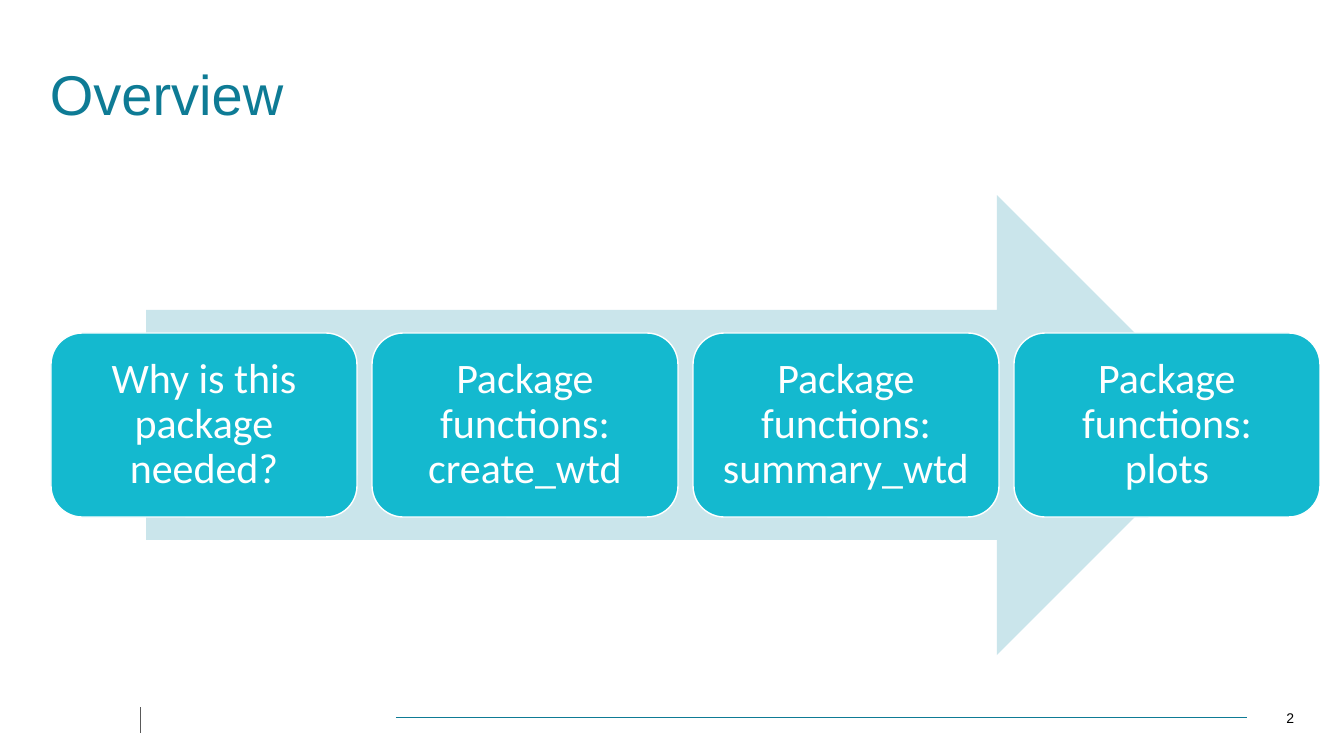
from pptx import Presentation
from pptx.dml.color import RGBColor
from pptx.enum.shapes import MSO_CONNECTOR, MSO_SHAPE
from pptx.enum.text import MSO_ANCHOR, PP_ALIGN
from pptx.oxml.ns import qn
from pptx.util import Pt
from lxml import etree

LEFT, CENTER, RIGHT = PP_ALIGN.LEFT, PP_ALIGN.CENTER, PP_ALIGN.RIGHT
TOP, MIDDLE = MSO_ANCHOR.TOP, MSO_ANCHOR.MIDDLE
ARROW, ROUNDED = MSO_SHAPE.RIGHT_ARROW, MSO_SHAPE.ROUNDED_RECTANGLE
STRAIGHT = MSO_CONNECTOR.STRAIGHT

TITLE = "Overview"
PAGE = "2"
STEPS = [
    "Why is this package needed?",
    "Package functions: create_wtd",
    "Package functions: summary_wtd",
    "Package functions: plots",
]
COLORS = {
    "title": "0E7B95",
    "arrow": "CAE5EB",
    "step": "14B9CF",
    "white": "FFFFFF",
    "divider": "595959",
    "page": "000000",
}
FOOTER_LINES = [
    (396, 718, 1247, 718, "title"),
    (141, 733, 141, 707, "divider"),
]
SLIDE_W, SLIDE_H = 1344, 756
STEP_X, STEP_Y, STEP_W, STEP_H = 51, 333, 306, 184
STEP_GAP = 15
STEP_INSET = 12
TITLE_DROP = 6


def px(n):
    return round(n * 914400 / 100.8)


def rgb(name):
    return RGBColor.from_string(COLORS[name])


def write(sp, text, font, size, color, align, anchor, insets=(0, 0, 0, 0)):
    tf = sp.text_frame
    tf.word_wrap = True
    tf.vertical_anchor = anchor
    tf.margin_left, tf.margin_top, tf.margin_right, tf.margin_bottom = map(px, insets)
    p = tf.paragraphs[0]
    p.text = text
    p.alignment = align
    p.font.name = font
    p.font.size = Pt(size)
    p.font.color.rgb = rgb(color)
    return p


def add_label(s, box, *style):
    return write(s.shapes.add_textbox(*map(px, box)), *style)


def add_filled(s, kind, box, adjustments, fill):
    sp = s.shapes.add_shape(kind, *map(px, box))
    sp.shadow.inherit = False
    for i, value in enumerate(adjustments):
        sp.adjustments[i] = value
    sp.fill.solid()
    sp.fill.fore_color.rgb = rgb(fill)
    sp.line.fill.background()
    return sp


def add_line(s, x1, y1, x2, y2, color):
    line = s.shapes.add_connector(STRAIGHT, *map(px, (x1, y1, x2, y2)))
    line.line.color.rgb = rgb(color)
    line.line.width = Pt(0.75)
    etree.SubElement(line._element.spPr, qn("a:effectLst"))


def main():
    prs = Presentation()
    prs.slide_width, prs.slide_height = px(SLIDE_W), px(SLIDE_H)
    s = prs.slides.add_slide(prs.slide_layouts[6])

    for line in FOOTER_LINES:
        add_line(s, *line)
    add_label(s, (50, 53, 1243, 101), TITLE, "Arial", 40, "title", LEFT, TOP,
              (0, TITLE_DROP, 0, 0))
    add_label(s, (1260, 705, 34, 25), PAGE, "Arial", 10, "page", RIGHT, MIDDLE)

    add_filled(s, ARROW, (146, 195, 1081, 460), (0.5, 0.5), "arrow")
    for i, step in enumerate(STEPS):
        x = STEP_X + i * (STEP_W + STEP_GAP)
        sp = add_filled(s, ROUNDED, (x, STEP_Y, STEP_W, STEP_H), (0.17,), "step")
        sp.line.color.rgb = rgb("white")
        sp.line.width = Pt(1)
        p = write(sp, step, "Calibri", 30, "white", CENTER, MIDDLE, (STEP_INSET,) * 4)
        p.line_spacing = 0.9

    prs.save("out.pptx")


if __name__ == "__main__":
    main()
